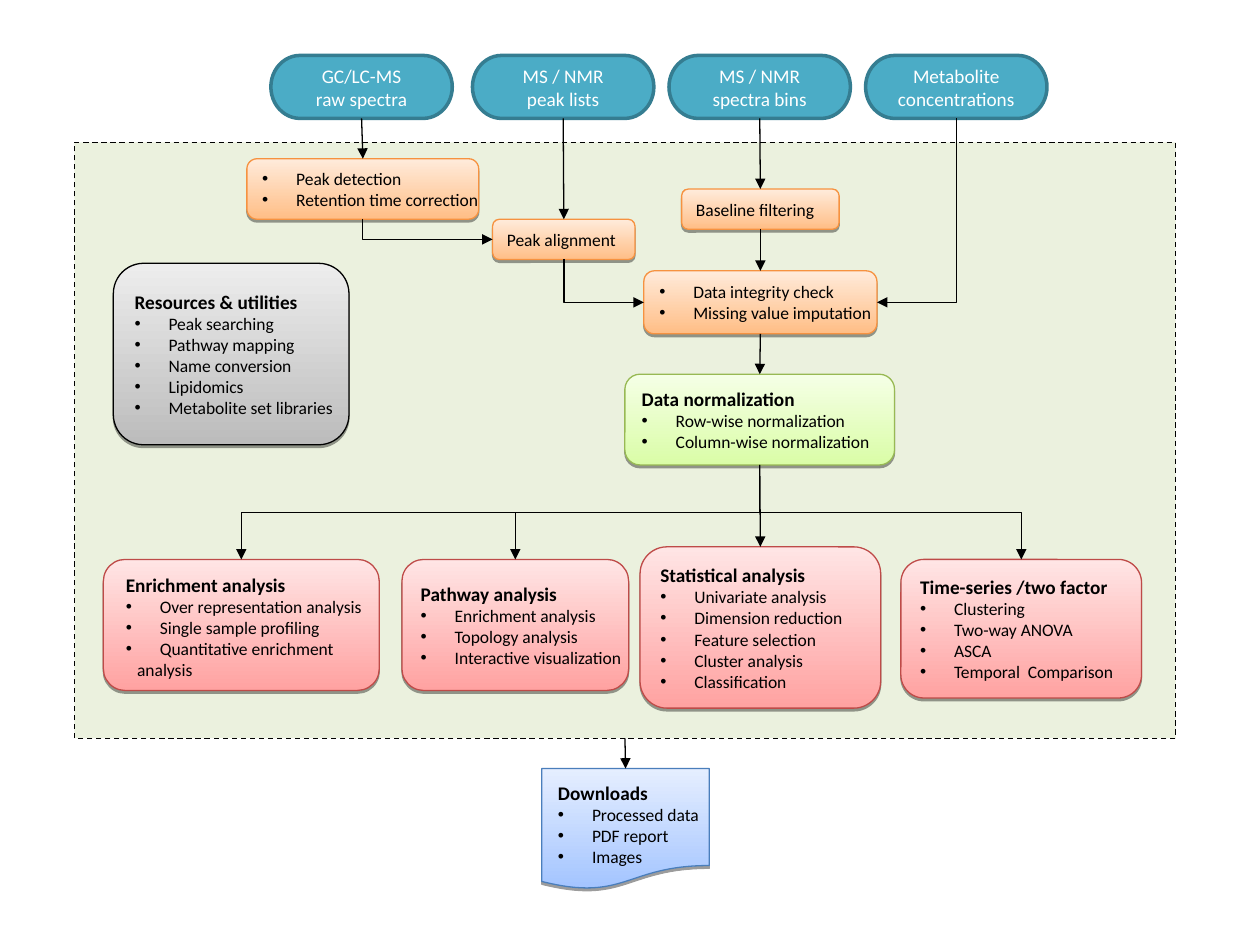
"""Build a one-slide flow chart of a metabolomics data analysis pipeline."""
from lxml.etree import SubElement
from pptx import Presentation
from pptx.dml.color import RGBColor
from pptx.enum.dml import MSO_LINE
from pptx.enum.shapes import MSO_CONNECTOR, MSO_SHAPE
from pptx.enum.text import MSO_ANCHOR, PP_ALIGN
from pptx.oxml.ns import qn
from pptx.util import Inches, Pt

BLACK = "000000"
PANEL = (0.59, 1.13, 8.74, 4.73)
INPUT_TOP, INPUT_WIDTH, INPUT_HEIGHT = 0.44, 1.44, 0.5
INPUTS = [
    ("spectra", 2.15, ["GC/LC-MS", "raw spectra"]),
    ("peaks", 3.75, ["MS / NMR", "peak lists"]),
    ("bins", 5.31, ["MS / NMR", "spectra bins"]),
    ("concentrations", 6.87, ["Metabolite", "concentrations"]),
]
STYLES = {
    "gray": ("BCBCBC", "EDEDED", BLACK),
    "orange": ("FFBE86", "FFEBDB", "F69240"),
    "green": ("DAFDA7", "F5FFE6", "98B954"),
    "red": ("FFA2A1", "FFE5E5", "BE4B48"),
    "blue": ("A3C4FF", "E5EEFF", "4A7EBB"),
}
STEPS = [
    ("resources", "gray", (0.9, 2.09, 1.87, 1.44), "Resources & utilities",
     ["Peak searching", "Pathway mapping", "Name conversion", "Lipidomics",
      "Metabolite set libraries"]),
    ("detection", "orange", (1.96, 1.26, 1.84, 0.48), "",
     ["Peak detection", "Retention time correction"]),
    ("alignment", "orange", (3.91, 1.74, 1.13, 0.32), "Peak alignment", []),
    ("filtering", "orange", (5.41, 1.5, 1.25, 0.32), "Baseline filtering", []),
    ("integrity", "orange", (5.11, 2.15, 1.85, 0.5), "",
     ["Data integrity check", "Missing value imputation"]),
    ("normalization", "green", (4.96, 2.97, 2.14, 0.72), "Data normalization",
     ["Row-wise normalization", "Column-wise normalization"]),
    ("statistics", "red", (5.08, 4.34, 1.91, 1.28), "Statistical analysis",
     ["Univariate analysis", "Dimension reduction", "Feature selection",
      "Cluster analysis", "Classification"]),
    ("pathway", "red", (3.19, 4.44, 1.8, 1.04), "Pathway analysis",
     ["Enrichment analysis", "Topology analysis", "Interactive visualization"]),
    ("enrichment", "red", (0.82, 4.44, 2.19, 1.04), "", []),
    ("series", "red", (7.15, 4.44, 1.91, 1.1), "Time-series /two factor",
     ["Clustering", "Two-way ANOVA", "ASCA", "Temporal  Comparison"]),
    ("downloads", "blue", (4.3, 6.1, 1.33, 0.96), "", []),
]
LABELS = [
    ((0.9, 4.5, 2.11, 0.95), "Enrichment analysis",
     ["Over representation analysis", "Single sample profiling",
      "Quantitative enrichment"], "analysis"),
    ((4.33, 6.18, 1.35, 0.72), "Downloads",
     ["Processed data", "PDF report", "Images"], ""),
]
STRAIGHT_ARROWS = [
    ("spectra", "detection"), ("peaks", "alignment"), ("bins", "filtering"),
    ("filtering", "integrity"), ("integrity", "normalization"),
    ("normalization", "statistics"), ("panel", "downloads"),
]
CORNER_ARROWS = [
    ("detection", "alignment"), ("alignment", "integrity"),
    ("concentrations", "integrity"),
]
BRANCH_ARROWS = [("normalization", name) for name in ("series", "pathway", "enrichment")]
STRAY_ARROWS = [(1.84, 3.54), (4.47, 0.94)]


def color(value):
    return RGBColor.from_string(value)


def add_box(page, kind, place, line_color, line_width=0.75):
    box = page.shapes.add_shape(kind, *map(Inches, place))
    box.shadow.inherit = False
    box.line.color.rgb = color(line_color)
    box.line.width = Pt(line_width)
    return box


def add_text(box, text, size=10, ink=BLACK, bold=False, align=PP_ALIGN.LEFT,
             bullet=False, indent=0):
    frame = box.text_frame
    para = frame.paragraphs[0]
    if para.runs:
        para = frame.add_paragraph()
    para.alignment = align
    properties = para._p.get_or_add_pPr()
    properties.set("marL", str(Inches(0.27 if bullet else indent)))
    properties.set("indent", str(Inches(-0.27 if bullet else 0)))
    if bullet:
        SubElement(properties, qn("a:buFont")).set("typeface", "Arial")
        SubElement(properties, qn("a:buChar")).set("char", "•")
    span = para.add_run()
    span.text = text
    span.font.name = "Calibri"
    span.font.size = Pt(size)
    span.font.bold = bold
    span.font.color.rgb = color(ink)


def add_list(box, title, items):
    box.text_frame.vertical_anchor = MSO_ANCHOR.MIDDLE
    if title:
        add_text(box, title, 11 if items else 10, bold=bool(items))
    for item in items:
        add_text(box, item, bullet=True)


def add_step(page, style, place, title, items):
    dark, light, edge = STYLES[style]
    kind = (MSO_SHAPE.FLOWCHART_DOCUMENT if style == "blue"
            else MSO_SHAPE.FLOWCHART_ALTERNATE_PROCESS)
    box = add_box(page, kind, place, edge)
    box.fill.gradient()
    box.fill.gradient_angle = 90
    for stop, shade in zip(box.fill.gradient_stops, (dark, light)):
        stop.color.rgb = color(shade)
    effects = box._element.spPr.find(qn("a:effectLst"))
    shadow = SubElement(effects, qn("a:outerShdw"), blurRad="0", dist=str(Pt(1.6)),
                        dir="5400000", rotWithShape="0")
    shade = SubElement(shadow, qn("a:srgbClr"), val=BLACK)
    SubElement(shade, qn("a:alpha"), val="38000")
    box.text_frame.word_wrap = False
    add_list(box, title, items)
    return box


def add_arrow(page, kind, start, end):
    arrow = page.shapes.add_connector(kind, *map(int, start + end))
    arrow.line.color.rgb = color(BLACK)
    arrow.line.width = Pt(0.75)
    SubElement(arrow.line._get_or_add_ln(), qn("a:tailEnd"), type="triangle")
    SubElement(arrow._element.spPr, qn("a:effectLst"))
    return arrow


def add_elbow(page, start, end, preset):
    """Draw an elbow that leaves downwards, as a turned horizontal one."""
    (x1, y1), (x2, y2) = start, end
    middle_x, middle_y = (x1 + x2) / 2, (y1 + y2) / 2
    side = 1 if x2 > x1 else -1
    reach, rise = side * (y2 - y1) / 2, abs(x2 - x1) / 2
    arrow = add_arrow(page, MSO_CONNECTOR.ELBOW, (middle_x + reach, middle_y - rise),
                      (middle_x - reach, middle_y + rise))
    properties = arrow._element.spPr
    properties.find(qn("a:xfrm")).set("rot", str((270 if side > 0 else 90) * 60000))
    properties.find(qn("a:prstGeom")).set("prst", preset)


def center(box):
    return box.left + box.width / 2, box.top + box.height / 2


def main():
    deck = Presentation()
    deck.slide_width, deck.slide_height = Inches(10), Inches(7.5)
    page = deck.slides.add_slide(deck.slide_layouts[6])

    panel = add_box(page, MSO_SHAPE.RECTANGLE, PANEL, BLACK)
    panel.fill.solid()
    panel.fill.fore_color.rgb = color("EBF1DE")
    panel.line.dash_style = MSO_LINE.DASH
    boxes = {"panel": panel}

    for name, left, lines in INPUTS:
        place = (left, INPUT_TOP, INPUT_WIDTH, INPUT_HEIGHT)
        box = add_box(page, MSO_SHAPE.FLOWCHART_TERMINATOR, place, "357D91", 2)
        box.fill.solid()
        box.fill.fore_color.rgb = color("4BACC6")
        box.text_frame.word_wrap = False
        box.text_frame.vertical_anchor = MSO_ANCHOR.MIDDLE
        for line in lines:
            add_text(box, line, 11, "FFFFFF", align=PP_ALIGN.CENTER)
        boxes[name] = box
    for name, *step in STEPS:
        boxes[name] = add_step(page, *step)
    for place, title, items, ending in LABELS:
        label = page.shapes.add_textbox(*map(Inches, place))
        label.text_frame.word_wrap = True
        add_list(label, title, items)
        if ending:
            add_text(label, ending, indent=0.09)

    for source, target in STRAIGHT_ARROWS:
        arrow = add_arrow(page, MSO_CONNECTOR.STRAIGHT, (0, 0), (0, 0))
        arrow.begin_connect(boxes[source], 2)
        arrow.end_connect(boxes[target], 0)
    for source, target in CORNER_ARROWS + BRANCH_ARROWS:
        first, last = boxes[source], boxes[target]
        (x1, _), (x2, y2) = center(first), center(last)
        start = (x1, first.top + first.height)
        if (source, target) in BRANCH_ARROWS:
            add_elbow(page, start, (x2, last.top), "bentConnector3")
        else:
            edge = last.left if x1 < x2 else last.left + last.width
            add_elbow(page, start, (edge, y2), "bentConnector2")
    for spot in STRAY_ARROWS:
        point = tuple(map(Inches, spot))
        add_arrow(page, MSO_CONNECTOR.STRAIGHT, point, point)
    deck.save("out.pptx")


if __name__ == "__main__":
    main()
